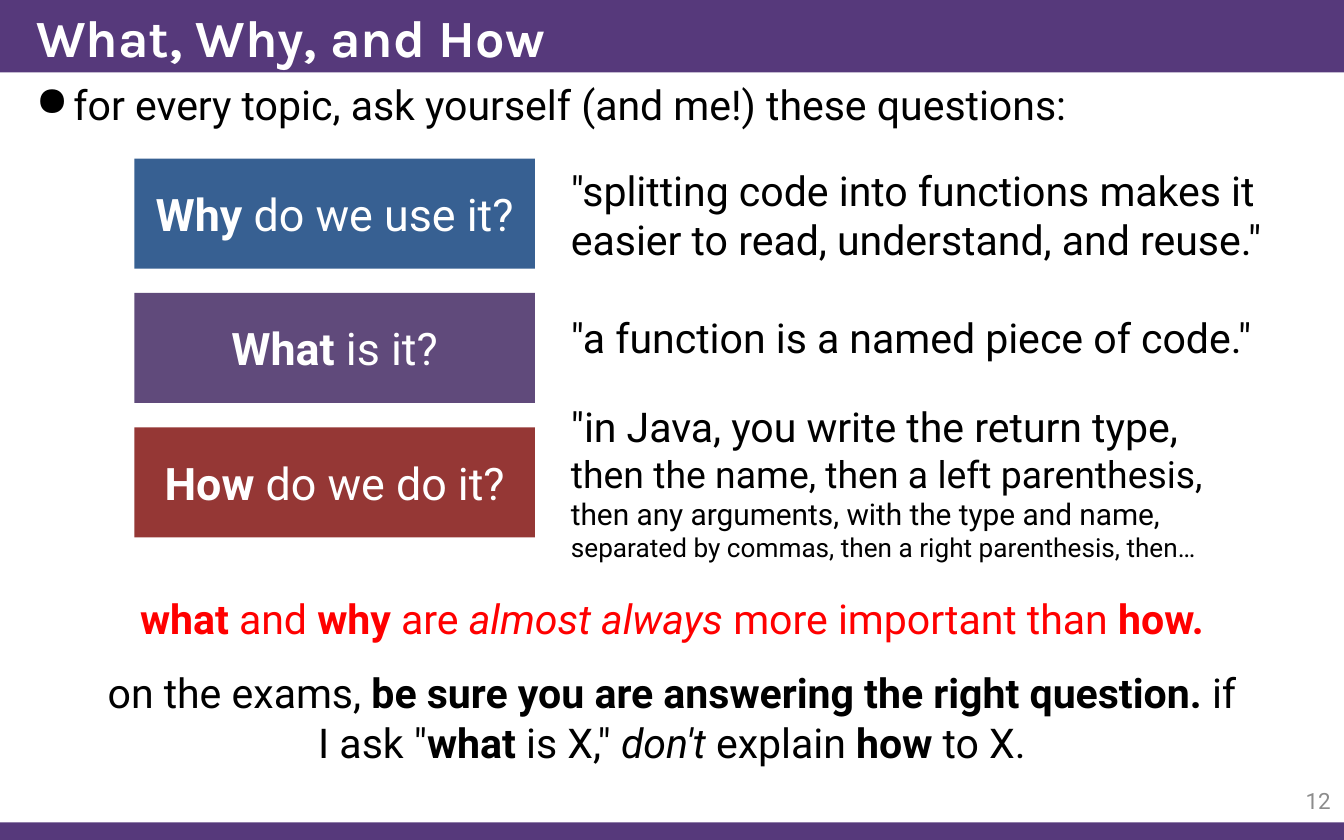
from pptx import Presentation
from pptx.dml.color import RGBColor
from pptx.enum.shapes import MSO_SHAPE
from pptx.enum.text import MSO_ANCHOR, MSO_AUTO_SIZE, PP_ALIGN
from pptx.util import Cm, Pt
from lxml import etree

RECTANGLE = MSO_SHAPE.RECTANGLE
TOP, MIDDLE = MSO_ANCHOR.TOP, MSO_ANCHOR.MIDDLE
LEFT, CENTER, RIGHT = PP_ALIGN.LEFT, PP_ALIGN.CENTER, PP_ALIGN.RIGHT

PURPLE = RGBColor(0x56, 0x39, 0x7B)
BLUE = RGBColor(0x37, 0x60, 0x92)
VIOLET = RGBColor(0x60, 0x4A, 0x7B)
BRICK = RGBColor(0x95, 0x37, 0x35)
RED = RGBColor(0xFF, 0x00, 0x00)
GRAY = RGBColor(0x8C, 0x8C, 0x8C)
BLACK = RGBColor(0x00, 0x00, 0x00)
WHITE = RGBColor(0xFF, 0xFF, 0xFF)

prs = Presentation()
prs.slide_width, prs.slide_height = Cm(25.4), Cm(15.88)
slide = prs.slides.add_slide(prs.slide_layouts[5])


def add_block(left, top, width, height, fill):
    block = slide.shapes.add_shape(RECTANGLE, Cm(left), Cm(top), Cm(width), Cm(height))
    block.shadow.inherit = False
    block.fill.solid()
    block.fill.fore_color.rgb = fill
    block.line.fill.background()
    return block


def write(shape, runs, size=22, color=BLACK, align=LEFT, anchor=TOP, font="Roboto"):
    frame = shape.text_frame
    frame.word_wrap = True
    frame.auto_size = MSO_AUTO_SIZE.NONE
    frame.vertical_anchor = anchor
    paragraph = frame.paragraphs[0]
    paragraph.alignment = align
    paragraph.font.name = font
    paragraph.font.size = Pt(size)
    paragraph.font.color.rgb = color
    for text, style in runs:
        run = paragraph.add_run()
        run.text = text
        if style == "bold":
            run.font.bold = True
        elif style == "italic":
            run.font.italic = True
        elif style:
            run.font.size = Pt(style)


add_block(0, 15.55, 25.4, 0.33, PURPLE)
header = add_block(0, 0, 25.4, 1.37, PURPLE)

title = slide.shapes.title
title.left, title.top, title.width, title.height = Cm(0.43), Cm(0), Cm(24.97), Cm(1.37)
write(title, [("What, Why, and How", "bold")], 28, WHITE, LEFT, MIDDLE, "Karla")
slide.shapes._spTree.remove(title._element)
header._element.addnext(title._element)

intro = slide.shapes.add_textbox(Cm(0.43), Cm(1.37), Cm(24.97), Cm(1.37))
intro_properties = intro.text_frame.paragraphs[0]._p.get_or_add_pPr()
intro_properties.set("marL", str(Cm(0.71)))
intro_properties.set("indent", str(Cm(-0.71)))
bullet = etree.SubElement(
    intro_properties, "{http://schemas.openxmlformats.org/drawingml/2006/main}buChar")
bullet.set("char", "●")
write(intro, [("for every topic, ask yourself (and me!) these questions:", None)])

questions = [
    ("Why ", "do we use it?", BLUE),
    ("What ", "is it?", VIOLET),
    ("How ", "do we do it?", BRICK),
]
for row, (keyword, rest, fill) in enumerate(questions):
    question = add_block(2.54, 3 + 2.54 * row, 7.57, 2.08, fill)
    write(question, [(keyword, "bold"), (rest, None)], 24, WHITE, CENTER, MIDDLE)

answers = [
    (3, 14.43, 2.13, [
        ("\"splitting code into functions makes it easier to read, understand, and reuse.\"", None),
    ]),
    (5.79, 13.9, 1.19, [("\"a function is a named piece of code.\"", None)]),
    (7.47, 12.75, 3.33, [
        ("\"in Java, you write the return type, ", None),
        ("then the name, then a left parenthesis, ", 20),
        ("then any arguments, with the type and name, ", 16),
        ("separated by commas, then a right parenthesis, then…", 14),
    ]),
]
for top, width, height, runs in answers:
    answer = slide.shapes.add_textbox(Cm(10.54), Cm(top), Cm(width), Cm(height))
    write(answer, runs)

priority = slide.shapes.add_textbox(Cm(0.95), Cm(11.1), Cm(23.5), Cm(1.19))
write(priority, [
    ("what", "bold"),
    (" and ", None),
    ("why", "bold"),
    (" are ", None),
    ("almost always", "italic"),
    (" more important than ", None),
    ("how.", "bold"),
], color=RED, align=CENTER)

exam_advice = slide.shapes.add_textbox(Cm(1.7), Cm(12.5), Cm(22), Cm(2.13))
write(exam_advice, [
    ("on the exams, ", None),
    ("be sure you are answering the right question. ", "bold"),
    ("if I ask \"", None),
    ("what", "bold"),
    (" is X,\" ", None),
    ("don't ", "italic"),
    ("explain ", None),
    ("how", "bold"),
    (" to X.", None),
], align=CENTER)

page_number = slide.shapes.add_textbox(Cm(23.5), Cm(14.71), Cm(1.9), Cm(0.84))
write(page_number, [("12", None)], 12, GRAY, RIGHT, MIDDLE)

prs.save("out.pptx")
